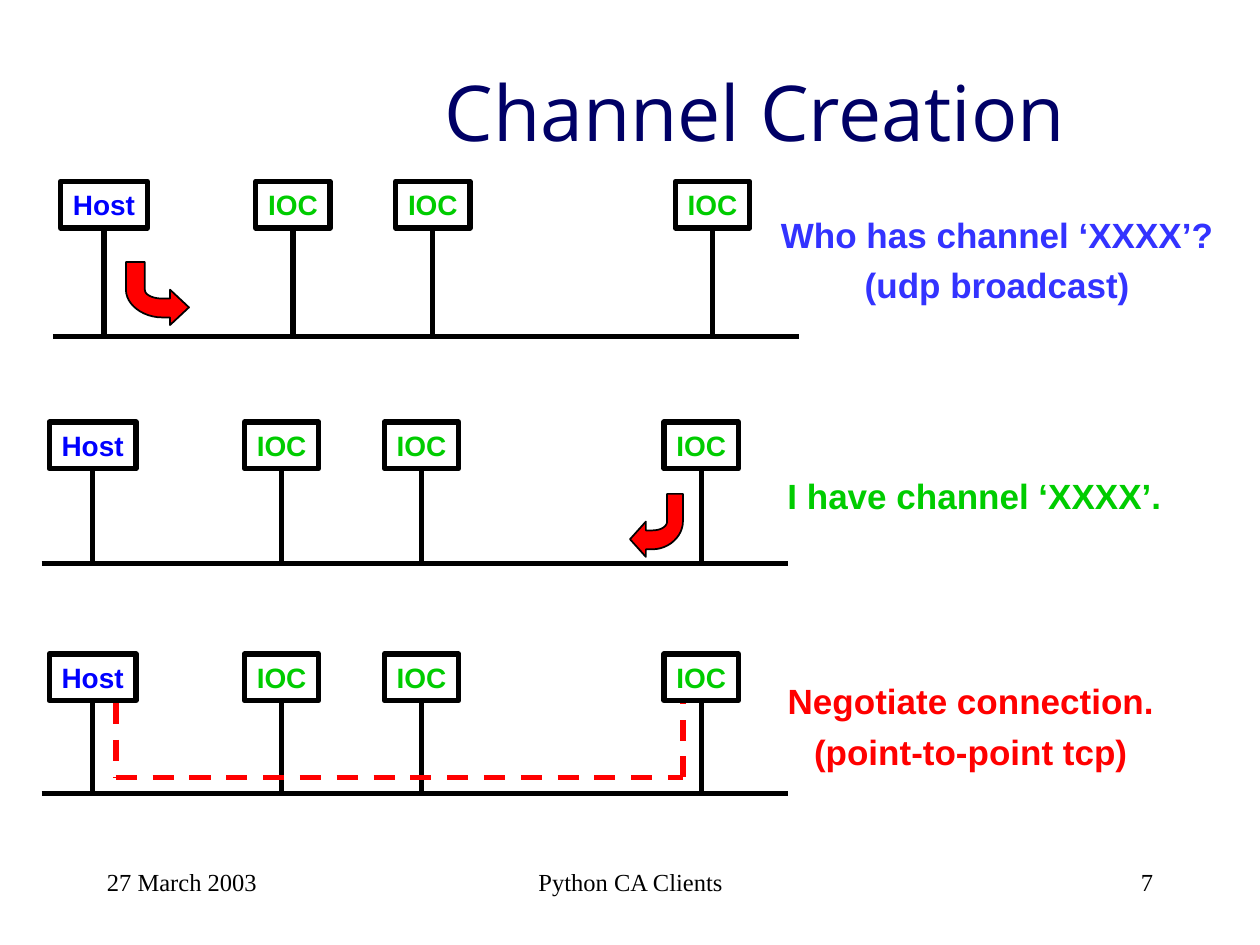
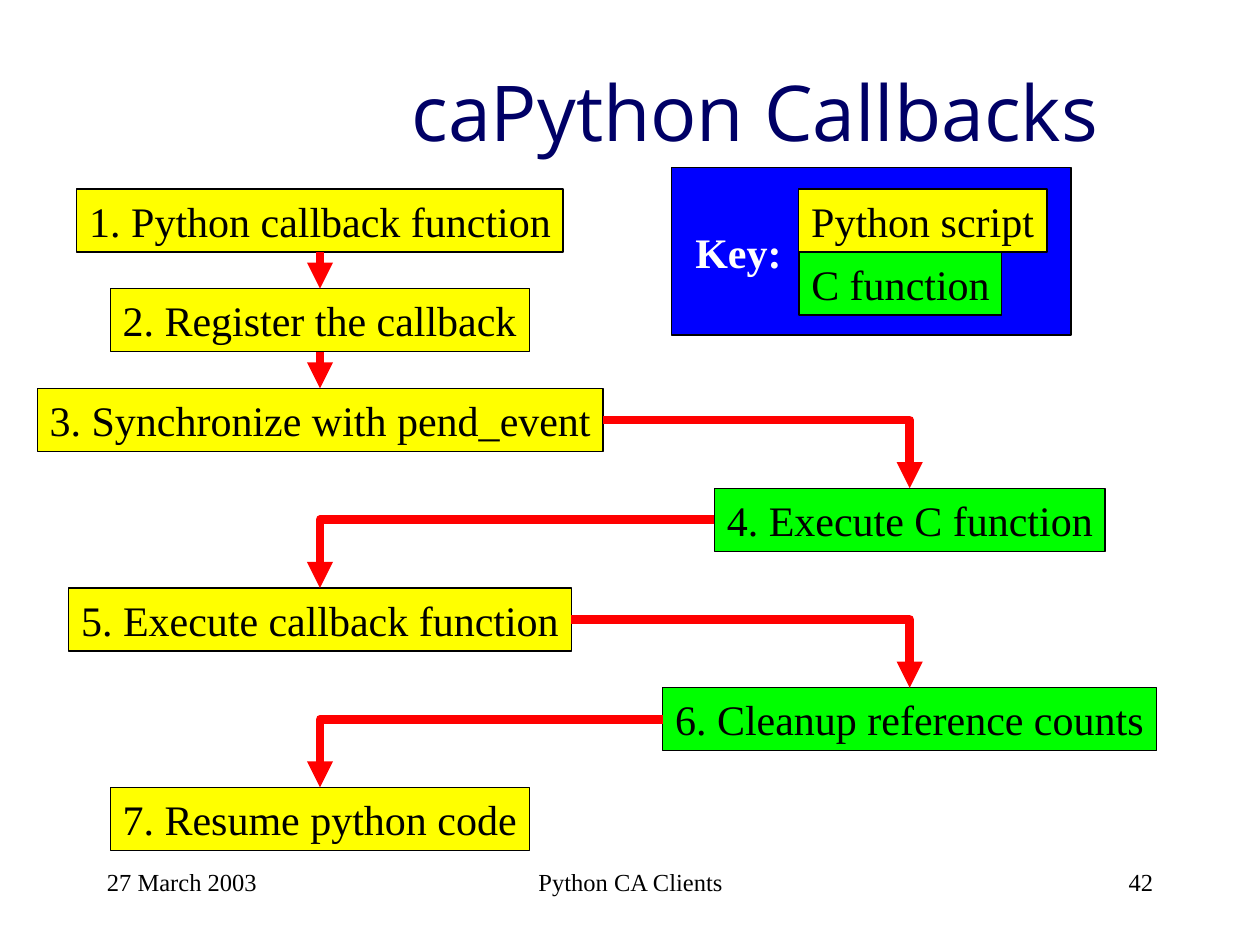
from itertools import pairwise

from pptx import Presentation
from pptx.dml.color import RGBColor
from pptx.enum.dml import MSO_LINE
from pptx.enum.shapes import MSO_CONNECTOR, MSO_SHAPE
from pptx.enum.text import MSO_ANCHOR, MSO_AUTO_SIZE, PP_ALIGN
from pptx.oxml.ns import qn
from pptx.util import Inches, Pt

NAVY = RGBColor(0x00, 0x00, 0x66)
BLUE = RGBColor(0x00, 0x00, 0xFF)
SOFT_BLUE = RGBColor(0x33, 0x33, 0xFF)
GREEN = RGBColor(0x00, 0xCC, 0x00)
LIME = RGBColor(0x00, 0xFF, 0x00)
YELLOW = RGBColor(0xFF, 0xFF, 0x00)
RED = RGBColor(0xFF, 0x00, 0x00)
BLACK = RGBColor(0x00, 0x00, 0x00)
WHITE = RGBColor(0xFF, 0xFF, 0xFF)

SANS, SERIF, TITLE_FONT = "Arial", "Times New Roman", "Open Sans"
LEFT, CENTER, RIGHT = PP_ALIGN.LEFT, PP_ALIGN.CENTER, PP_ALIGN.RIGHT
TOP_SITE, LEFT_SITE, BOTTOM_SITE, RIGHT_SITE = range(4)

DATE, FOOTER = "27 March 2003", "Python CA Clients"

NODES = [("Host", 0.06, 0.69, BLUE), ("IOC", 1.61, 0.59, GREEN),
         ("IOC", 2.72, 0.59, GREEN), ("IOC", 4.94, 0.59, GREEN)]
NODE_HEIGHT, BUS_LENGTH = 0.37, 5.92
NETWORKS = [
    {"left": 0.42, "top": 1.44, "bus": 2.67, "color": SOFT_BLUE,
     "caption": ["Who has channel ‘XXXX’?", "(udp broadcast)"],
     "caption_at": (6.1, 1.64, 3.63, 0.84)},
    {"left": 0.33, "top": 3.35, "bus": 4.47, "color": GREEN,
     "caption": ["I have channel ‘XXXX’."],
     "caption_at": (6.15, 3.71, 3.17, 0.44)},
    {"left": 0.33, "top": 5.19, "bus": 6.3, "color": RED,
     "caption": ["Negotiate connection.", "(point-to-point tcp)"],
     "caption_at": (6.15, 5.34, 3.11, 0.84)},
]
TURN_ARROWS = [((1, 2.08, 0.5, 0.5), False), ((5, 3.92, 0.42, 0.5), True)]
TURN_OUTER = [(0, 0.44), (0, 0.67), (0.26, 0.88), (0.58, 0.88)]
TURN_HEAD = [(0.7, 0.88), (0.7, 1), (1, 0.72), (0.7, 0.44), (0.7, 0.58)]
TURN_INNER = [(0.58, 0.58), (0.42, 0.58), (0.3, 0.52), (0.3, 0.44)]
TCP_ROUTE = [(0.92, 5.58), (0.92, 6.17), (5.42, 6.17), (5.42, 5.58)]

STEPS = [
    ("1. Python callback function", YELLOW, 3.86),
    ("2. Register the callback", YELLOW, 3.33),
    ("3. Synchronize with pend_event", YELLOW, 4.49),
    ("4. Execute C function", LIME, 3.1),
    ("5. Execute callback function", YELLOW, 3.99),
    ("6. Cleanup reference counts", LIME, 3.92),
    ("7. Resume python code", YELLOW, 3.33),
]
STEP_CENTERS = {YELLOW: 2.54, LIME: 7.22}
FIRST_STEP, LAST_STEP, STEP_HEIGHT = 1.5, 6.25, 0.5
KEY_PANEL = (5.33, 1.33, 3.17, 1.33)
KEY_ENTRIES = [("Python script", YELLOW, 1.97), ("C function", LIME, 1.61)]


def write(shape, lines, font, size, color, bold=False, align=LEFT,
          anchor=MSO_ANCHOR.TOP, wrap=False):
    frame = shape.text_frame
    frame.text = "\n".join(lines)
    frame.word_wrap = wrap
    frame.auto_size = MSO_AUTO_SIZE.NONE
    frame.vertical_anchor = anchor
    for index, paragraph in enumerate(frame.paragraphs):
        paragraph.alignment = align
        if index:
            paragraph.space_before = Pt(5)
        for span in paragraph.runs:
            span.font.name = font
            span.font.size = Pt(size)
            span.font.bold = bold
            span.font.color.rgb = color


def add_text(page, at, lines, *style, **options):
    box = page.shapes.add_textbox(*map(Inches, at))
    write(box, lines, *style, **options)


def paint(shape, fill, line_width):
    shape.shadow.inherit = False
    if fill is None:
        shape.fill.background()
    else:
        shape.fill.solid()
        shape.fill.fore_color.rgb = fill
    shape.line.color.rgb = BLACK
    shape.line.width = Pt(line_width)


def add_box(page, at, fill, line_width=0.75):
    box = page.shapes.add_shape(MSO_SHAPE.RECTANGLE, *map(Inches, at))
    paint(box, fill, line_width)
    return box


def add_line(page, start, end, color, width=3, kind=MSO_CONNECTOR.STRAIGHT):
    line = page.shapes.add_connector(kind, *map(Inches, (*start, *end)))
    line.line.color.rgb = color
    line.line.width = Pt(width)
    properties = line._element.spPr
    properties.append(properties.makeelement(qn("a:effectLst"), {}))
    return line


def add_page(deck, title, number):
    page = deck.slides.add_slide(deck.slide_layouts[6])
    add_text(page, (2.33, 0.25, 7.33, 1.25), [title], TITLE_FONT, 44, NAVY,
             align=CENTER, anchor=MSO_ANCHOR.MIDDLE, wrap=True)
    for text, left, width, align in [(DATE, 0.75, 2.08, LEFT),
                                     (FOOTER, 3.42, 3.17, CENTER),
                                     (str(number), 7.17, 2.08, RIGHT)]:
        add_text(page, (left, 6.83, width, 0.5), [text], SERIF, 14, BLACK,
                 align=align, wrap=True)
    return page


def add_network(page, network):
    left, top, bus = network["left"], network["top"], network["bus"]
    for name, offset, width, color in NODES:
        node = add_box(page, (left + offset, top, width, NODE_HEIGHT), None, 3)
        write(node, [name], SANS, 16, color, bold=True, align=CENTER,
              anchor=MSO_ANCHOR.MIDDLE)
        middle = left + offset + width / 2
        drop = add_line(page, (middle, top + NODE_HEIGHT), (middle, bus), BLACK)
        drop.begin_connect(node, BOTTOM_SITE)
    add_line(page, (left, bus), (left + BUS_LENGTH, bus), BLACK)
    add_text(page, network["caption_at"], network["caption"], SANS, 20,
             network["color"], bold=True, align=CENTER,
             anchor=MSO_ANCHOR.MIDDLE)


def curve(controls, steps=12):
    points = []
    for step in range(steps + 1):
        t = step / steps
        weights = ((1 - t) ** 3, 3 * t * (1 - t) ** 2, 3 * t * t * (1 - t), t ** 3)
        points.append(tuple(sum(weight * value for weight, value in zip(weights, axis))
                            for axis in zip(*controls)))
    return points


def add_turn_arrow(page, at, mirrored):
    left, top, width, height = at
    outline = [(0, 0), *curve(TURN_OUTER), *TURN_HEAD, *curve(TURN_INNER), (0.3, 0)]
    points = [(Inches(left + width * (1 - x if mirrored else x)),
               Inches(top + height * y)) for x, y in outline]
    builder = page.shapes.build_freeform(*points[0])
    builder.add_line_segments(points[1:], close=True)
    paint(builder.convert_to_shape(), RED, 1)


def add_step(page, text, fill, left, top, width):
    box = add_box(page, (left, top, width, STEP_HEIGHT), fill)
    write(box, [text], SERIF, 24, BLACK)
    return box


def add_flow(page, source, source_fill, target, target_fill):
    straight = source_fill == target_fill
    kind = MSO_CONNECTOR.STRAIGHT if straight else MSO_CONNECTOR.ELBOW
    flow = add_line(page, (0, 0), (1, 1), RED, 5, kind)
    if straight:
        site = BOTTOM_SITE
    else:
        site = RIGHT_SITE if source_fill == YELLOW else LEFT_SITE
        flow._element.spPr.find(qn("a:prstGeom")).set("prst", "bentConnector2")
    flow.begin_connect(source, site)
    flow.end_connect(target, TOP_SITE)
    outline = flow.line._get_or_add_ln()
    outline.append(outline.makeelement(qn("a:tailEnd"), {"type": "triangle"}))


def build_channel_page(deck):
    page = add_page(deck, "Channel Creation", 7)
    for network in NETWORKS:
        add_network(page, network)
    for at, mirrored in TURN_ARROWS:
        add_turn_arrow(page, at, mirrored)
    for start, end in pairwise(TCP_ROUTE):
        add_line(page, start, end, RED).line.dash_style = MSO_LINE.DASH


def build_callback_page(deck):
    page = add_page(deck, "caPython Callbacks", 42)
    pitch = (LAST_STEP - FIRST_STEP) / (len(STEPS) - 1)
    placed = []
    for index, (text, fill, width) in enumerate(STEPS):
        left = STEP_CENTERS[fill] - width / 2
        box = add_step(page, text, fill, left, FIRST_STEP + index * pitch, width)
        placed.append((box, fill))
    for source, target in pairwise(placed):
        add_flow(page, *source, *target)
    add_box(page, KEY_PANEL, BLUE)
    for index, (text, fill, width) in enumerate(KEY_ENTRIES):
        add_step(page, text, fill, 6.34, FIRST_STEP + index * STEP_HEIGHT, width)
    add_text(page, (5.42, 1.75, 0.88, 0.5), ["Key:"], SERIF, 24, WHITE, bold=True)


def main():
    deck = Presentation()
    deck.slide_width, deck.slide_height = Inches(10), Inches(7.5)
    build_channel_page(deck)
    build_callback_page(deck)
    deck.save("out.pptx")


if __name__ == "__main__":
    main()
